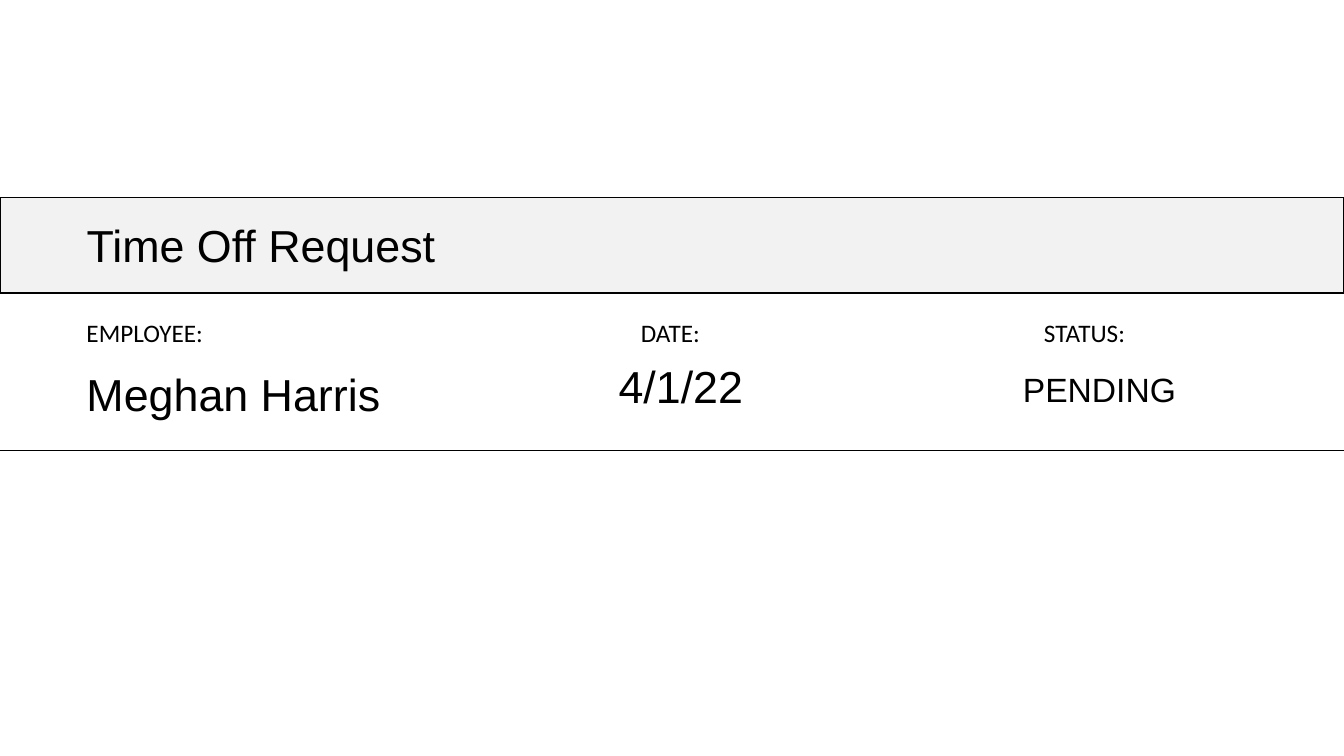
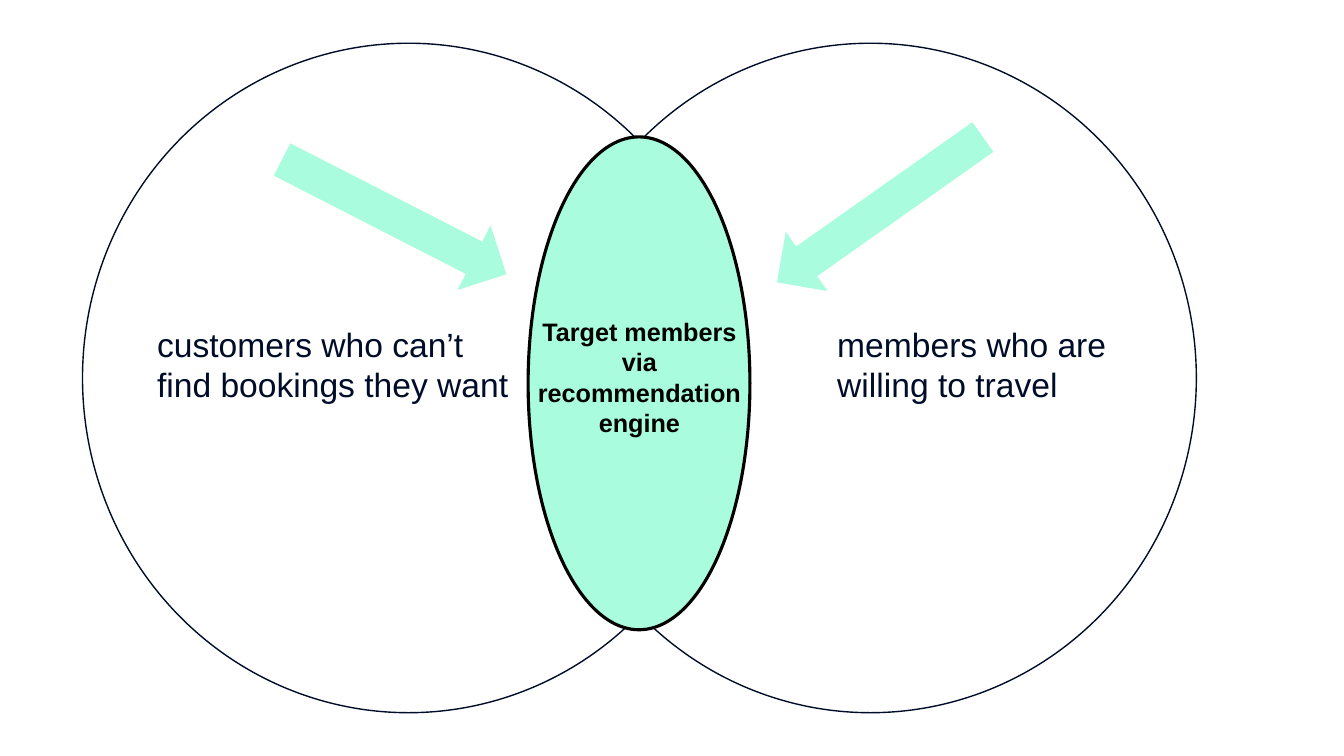
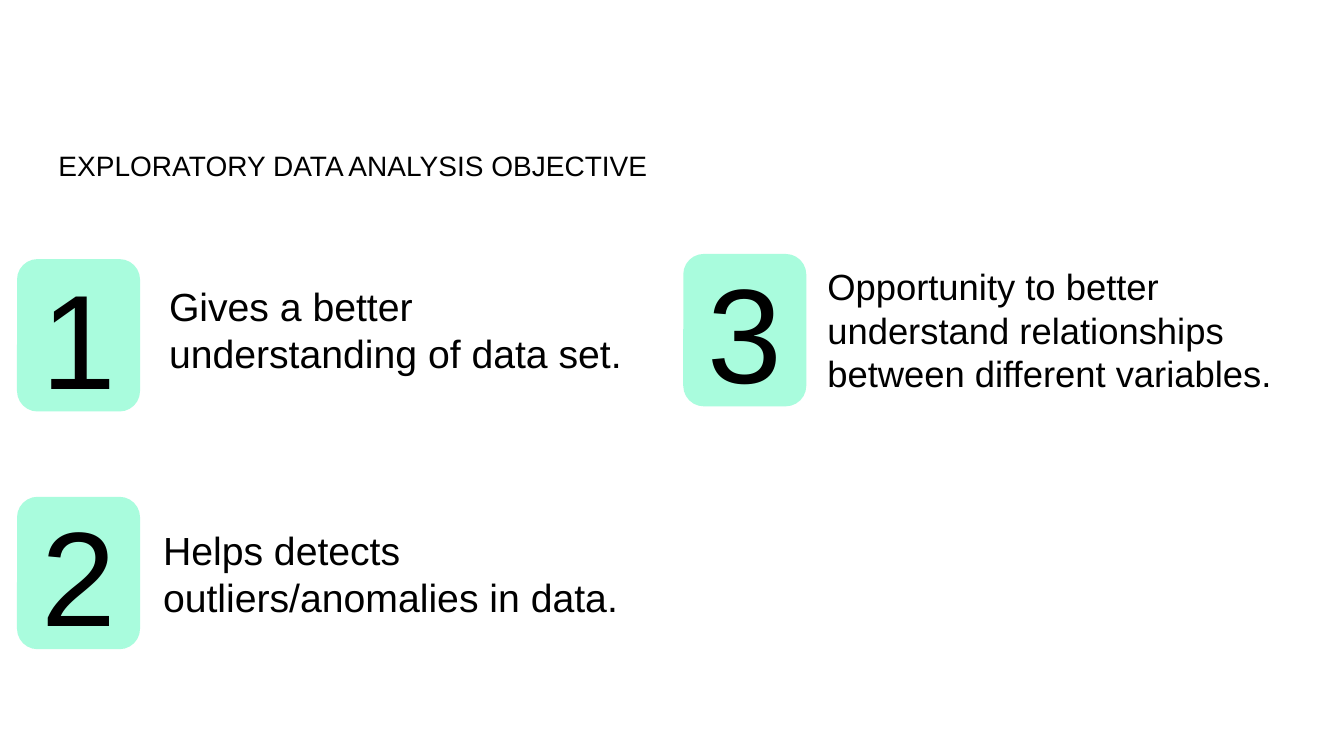
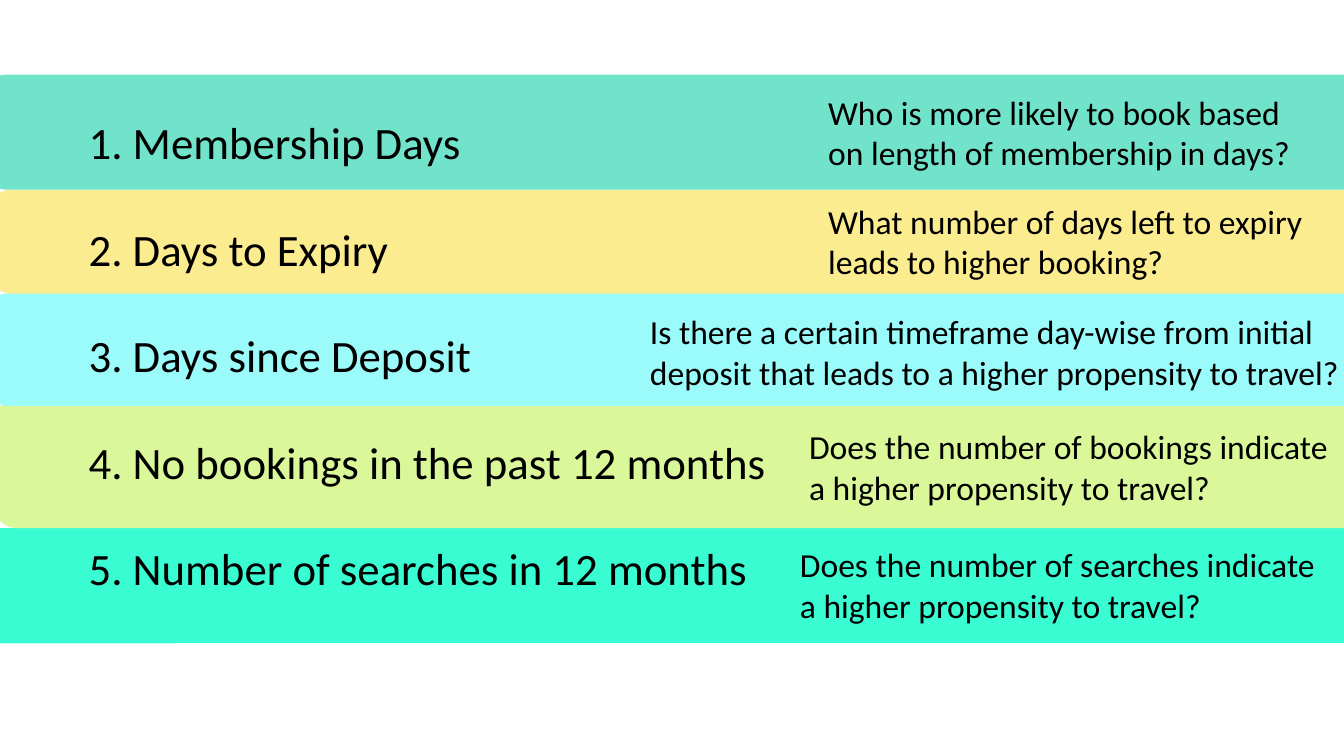
import pptx
import pptx.util
import pptx.dml.color
import pptx.enum.shapes
import pptx.enum.text
import pptx.oxml.ns
import lxml.etree

Cm, Pt = pptx.util.Cm, pptx.util.Pt
KIND = pptx.enum.shapes.MSO_SHAPE
ALIGN = pptx.enum.text.PP_ALIGN
ANCHOR = pptx.enum.text.MSO_ANCHOR
WIDE, HIGH = 33.87, 19.05
HEX = {"black": "000000", "navy": "000D29", "grey": "F2F2F2", "mint": "A9FCDD",
       "teal": "71E3CA", "yellow": "FCEC90", "cyan": "9BFAFA",
       "lime": "DAF799", "green": "3AFCD2"}


def tint(name):
    return pptx.dml.color.RGBColor.from_string(HEX[name])


def write(shape, *lines, size=24, font="Arial", color="black", bold=False,
          align=ALIGN.LEFT, anchor=ANCHOR.TOP, after=0):
    """Fill a shape with one paragraph per line, all in one format."""
    frame = shape.text_frame
    frame.word_wrap = True
    frame.auto_size = pptx.enum.text.MSO_AUTO_SIZE.NONE
    frame.vertical_anchor = anchor
    frame.text = "\n".join(lines)
    for para in frame.paragraphs:
        para.alignment = align
        para.space_before, para.space_after = Pt(0), Pt(after)
        for run in para.runs:
            run.font.name, run.font.size = font, Pt(size)
            run.font.bold = bold
            run.font.color.rgb = tint(color)


def label(slide, box, text, **style):
    shape = slide.shapes.add_textbox(*map(Cm, box))
    write(shape, text, **style)


def draw(slide, kind, box, fill=None, line=None, width=1, turn=0):
    shape = slide.shapes.add_shape(kind, *map(Cm, box))
    shape.shadow.inherit = False
    shape.rotation = turn
    if fill:
        shape.fill.solid()
        shape.fill.fore_color.rgb = tint(fill)
    else:
        shape.fill.background()
    if line:
        shape.line.color.rgb = tint(line)
        shape.line.width = Pt(width)
    else:
        shape.line.fill.background()
    return shape


def rule(slide, top):
    """Draw a thin line across the whole slide."""
    line = slide.shapes.add_connector(pptx.enum.shapes.MSO_CONNECTOR.STRAIGHT,
                                      0, Cm(top), Cm(WIDE), Cm(top))
    line.line.color.rgb = tint("black")
    line.line.width = Pt(0.5)
    lxml.etree.SubElement(line.element.spPr, pptx.oxml.ns.qn("a:effectLst"))


def place(holder, box, *lines, **style):
    """Move a placeholder in front of the other shapes and fill it."""
    holder.left, holder.top, holder.width, holder.height = map(Cm, box)
    holder.element.getparent().append(holder.element)
    write(holder, *lines, **style)


def plain(holder):
    """Take the bullets off a list."""
    for para in holder.text_frame.paragraphs:
        props = para._p.get_or_add_pPr()
        props.set("marL", "0")
        props.set("indent", "0")
        lxml.etree.SubElement(props, pptx.oxml.ns.qn("a:buNone"))


def field(slide, left, top, name, value, shift, drop, size):
    """Put a small name over its value, which is moved by shift and drop."""
    label(slide, (left, top, 7.5, 1.02), name, size=18, font="Calibri")
    label(slide, (left + shift, top + drop, 8.3, 1.63), value, size=size)


def request(deck):
    slide = deck.slides.add_slide(deck.slide_layouts[5])
    top, tall = 4.98, 2.41
    draw(slide, KIND.RECTANGLE, (0, top, WIDE, tall), "grey", "black")
    place(slide.shapes.title, (1.93, top + 0.38, 20.9, 1.63),
          "Time Off Request", size=32)
    for left, *rest in (
            (1.93, "EMPLOYEE:", "Meghan Harris", 0, 1.25, 32),
            (15.9, "DATE:", "4/1/22", -0.56, 1.05, 32),
            (26.06, "STATUS:", "PENDING", -0.53, 1.3, 24)):
        field(slide, left, top + 2.89, *rest)
    for line in (top + tall, 11.35):
        rule(slide, line)


def venn(deck):
    slide = deck.slides.add_slide(deck.slide_layouts[6])
    for left, inset, text in (
            (2.08, 1.63, "customers who can’t find bookings they want"),
            (13.72, 7.13, "members who are willing to travel")):
        draw(slide, KIND.OVAL, (left, 1.09, 16.43, 16.87), line="navy")
        label(slide, (left + inset, 8.03, 9.62, 2.31), text, color="navy")
    draw(slide, KIND.OVAL, (13.31, 3.45, 5.59, 12.42), "mint", "black", 2.25)
    label(slide, (13.18, 7.85, 5.87, 3.33),
          "Target members via recommendation engine",
          size=18, bold=True, align=ALIGN.CENTER)
    for left, top, turn in ((9.02, 2.29, 297.1), (21.26, 2.11, 54.8)):
        draw(slide, KIND.DOWN_ARROW, (left, top, 1.83, 6.35), "mint", turn=turn)


def point(slide, left, top, number, text, shift, drop, wide, size):
    """Put a numbered badge with its text at the right."""
    badge = draw(slide, KIND.ROUNDED_RECTANGLE, (left, top, 3.1, 3.84), "mint")
    write(badge, str(number), size=96, align=ALIGN.CENTER, anchor=ANCHOR.MIDDLE)
    label(slide, (left + shift, top + drop, wide, 2.64), text, size=size)


def goals(deck):
    slide = deck.slides.add_slide(deck.slide_layouts[5])
    place(slide.shapes.title, (1.22, 3.61, 19.38, 1.12),
          "EXPLORATORY DATA ANALYSIS OBJECTIVE", size=20)
    points = (
        (0.43, 6.53, "Gives a better understanding of data set.",
         3.58, 0.46, 12.24, 28),
        (0.43, 12.52, "Helps detects outliers/anomalies in data.",
         3.43, 0.61, 12.9, 28),
        (17.22, 6.4, "Opportunity to better understand relationships "
         "between different variables.", 3.38, 0.13, 12.83, 26))
    for number, (left, top, *rest) in enumerate(points, 1):
        point(slide, left, top, number, *rest)


def band(slide, box, color, text, left, drop, wide):
    """Draw a coloured band with its question at the right."""
    draw(slide, KIND.ROUNDED_RECTANGLE, box, color)
    label(slide, (left, box[1] + drop, wide, 2.31), text, font="Calibri")


def factors(deck):
    slide = deck.slides.add_slide(deck.slide_layouts[1])
    title = slide.shapes.title.element
    title.getparent().remove(title)
    bands = (
        (-0.33, 1.88, 2.9, "teal", "Who is more likely to book based on length "
         "of membership in days?", 20.62, 0.3, 12.67),
        (-0.18, 4.78, 2.62, "yellow", "What number of days left to expiry "
         "leads to higher booking?", 20.62, 0.15, 12.67),
        (-0.28, 7.39, 2.84, "cyan", "Is there a certain timeframe day-wise from "
         "initial deposit that leads to a higher propensity to travel?",
         16.13, 0.33, 18.75),
        (-0.13, 10.06, 3.25, "lime", "Does the number of bookings indicate "
         "a higher propensity to travel?", 20.14, 0.56, 13.89),
        (-0.56, 13.31, 2.9, "green", "Does the number of searches indicate "
         "a higher propensity to travel?", 19.91, 0.28, 13.97))
    for left, top, tall, *rest in reversed(bands):
        band(slide, (left, top, 36, tall), *rest)
    body = slide.placeholders[1]
    place(body, (1.98, 2.77, 17.88, 12.57),
          "1. Membership Days", "2. Days to Expiry", "3. Days since Deposit",
          "4. No bookings in the past 12 months",
          "5. Number of searches in 12 months",
          size=32, font="Calibri", after=37.7)
    plain(body)


def main():
    deck = pptx.Presentation()
    deck.slide_width, deck.slide_height = Cm(WIDE), Cm(HIGH)
    for build in (request, venn, goals, factors):
        build(deck)
    deck.save("out.pptx")


if __name__ == "__main__":
    main()
